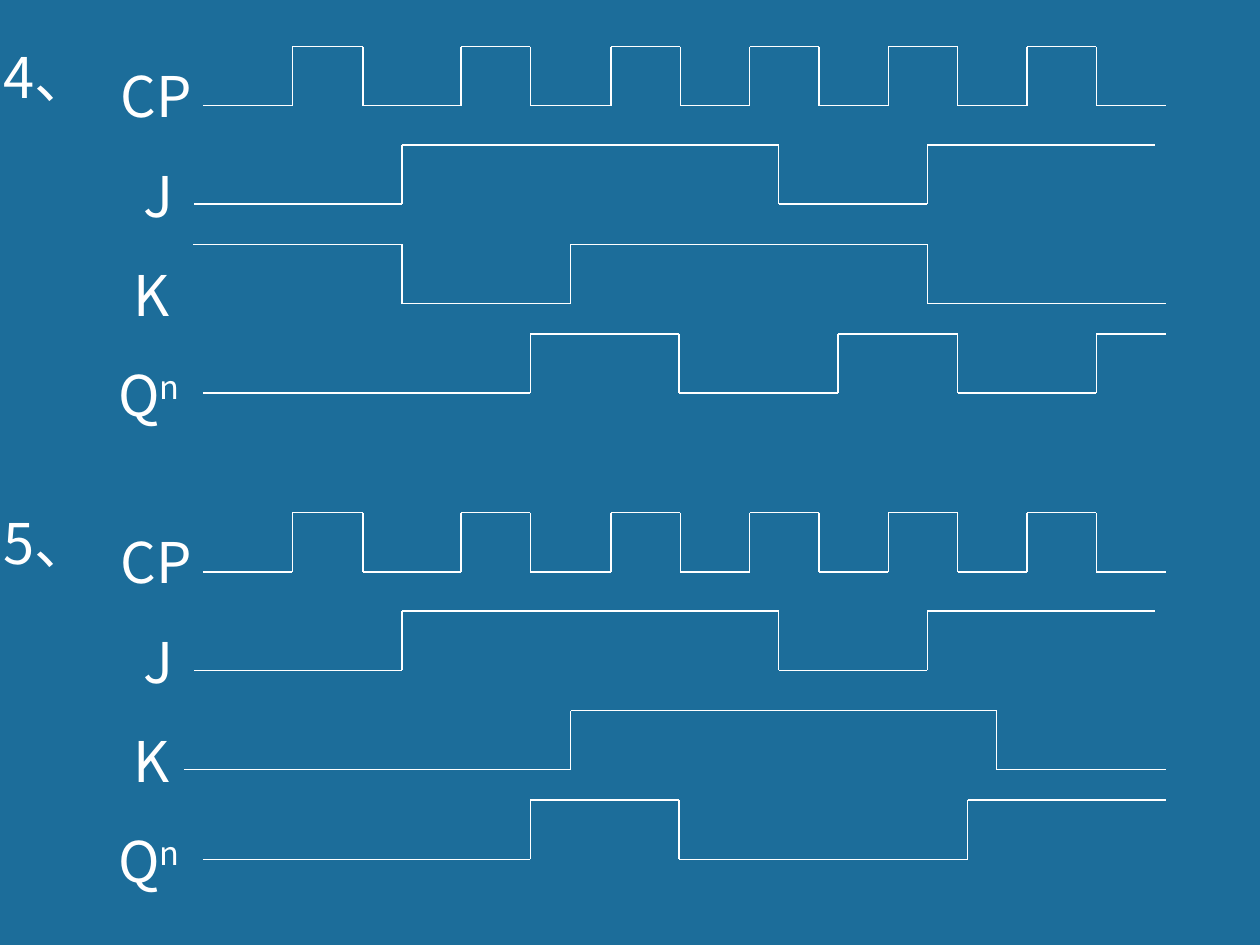
from dataclasses import dataclass

from lxml import etree
from pptx import Presentation
from pptx.dml.color import RGBColor
from pptx.enum.shapes import MSO_CONNECTOR
from pptx.enum.text import MSO_AUTO_SIZE
from pptx.oxml.ns import qn
from pptx.util import Inches, Pt

STRAIGHT = MSO_CONNECTOR.STRAIGHT
FIT_SHAPE = MSO_AUTO_SIZE.SHAPE_TO_FIT_TEXT


@dataclass(frozen=True)
class Theme:
    background: RGBColor = RGBColor(0x1C, 0x6D, 0x9A)
    ink: RGBColor = RGBColor(0xFF, 0xFF, 0xFF)
    font: str = "Noto Sans CJK SC"
    size: Pt = Pt(32)
    line: Pt = Pt(0.75)


theme = Theme()


def add_label(shapes, left, top, width, text, superscript=""):
    """Add a one-line label."""
    sp = shapes.add_textbox(Inches(left), Inches(top), Inches(width), Inches(0.64))
    tf = sp.text_frame
    tf.word_wrap = False
    tf.auto_size = FIT_SHAPE
    p = tf.paragraphs[0]
    for part in filter(None, (text, superscript)):
        r = p.add_run()
        r.text = part
        r.font.size = theme.size
        r.font.name = theme.font
        r.font.color.rgb = theme.ink
        rPr = r.font._element
        etree.SubElement(rPr, qn("a:ea")).set("typeface", theme.font)
        if part == superscript:
            rPr.set("baseline", "30000")


def add_wave(shapes, top, high, times):
    """Draw a square wave that toggles at every inner time."""
    levels = (top + AMPLITUDE, top)
    points = [(times[0], levels[high])]
    for x in times[1:-1]:
        points.append((x, levels[high]))
        high = not high
        points.append((x, levels[high]))
    points.append((times[-1], levels[high]))
    for (x1, y1), (x2, y2) in zip(points, points[1:]):
        line = shapes.add_connector(STRAIGHT, Inches(x1), Inches(y1), Inches(x2), Inches(y2))
        line.line.color.rgb = theme.ink
        line.line.width = theme.line
        etree.SubElement(line._element.spPr, qn("a:effectLst"))


prs = Presentation()
prs.slide_width, prs.slide_height = Inches(10), Inches(7.5)
s = prs.slides.add_slide(prs.slide_layouts[6])
s.background.fill.solid()
s.background.fill.fore_color.rgb = theme.background

# Signal rows: label left, width, text, superscript, then top of the wave
AMPLITUDE = 0.47
LABEL_TOP, LABEL_PITCH = 0.44, 0.79
DIAGRAM_PITCH = 3.7
SIGNALS = [
    (0.86, 0.77, "CP", "", 0.37),
    (1.04, 0.44, "J", "", 1.15),
    (0.96, 0.49, "K", "", 1.94),
    (0.84, 0.70, "Q", "n", 2.65),
]

# Waves: starting level, then start, toggle times and end
CLOCK = (False, [1.61, 2.32, 2.88, 3.66, 4.21, 4.85, 5.4, 5.95, 6.5,
                 7.05, 7.6, 8.15, 8.7, 9.25])
J_INPUT = (False, [1.54, 3.19, 6.18, 7.36, 9.17])
DIAGRAMS = [
    ("4、", [CLOCK, J_INPUT,
            (True, [1.53, 3.19, 4.53, 7.36, 9.25]),
            (False, [1.61, 4.21, 5.39, 6.65, 7.6, 8.7, 9.25])]),
    ("5、", [CLOCK, J_INPUT,
            (False, [1.46, 4.53, 7.91, 9.25]),
            (False, [1.61, 4.21, 5.39, 7.68, 9.25])]),
]

# Timing diagrams, the second one grouped
for i, (number, waves) in enumerate(DIAGRAMS):
    shapes = s.shapes.add_group_shape().shapes if i else s.shapes
    offset = i * DIAGRAM_PITCH
    add_label(shapes, -0.07, 0.29 + offset, 1, number)
    for row, (signal, (high, times)) in enumerate(zip(SIGNALS, waves)):
        left, width, text, superscript, wave_top = signal
        add_label(shapes, left, LABEL_TOP + row * LABEL_PITCH + offset, width, text, superscript)
        add_wave(shapes, wave_top + offset, high, times)

prs.save("out.pptx")
